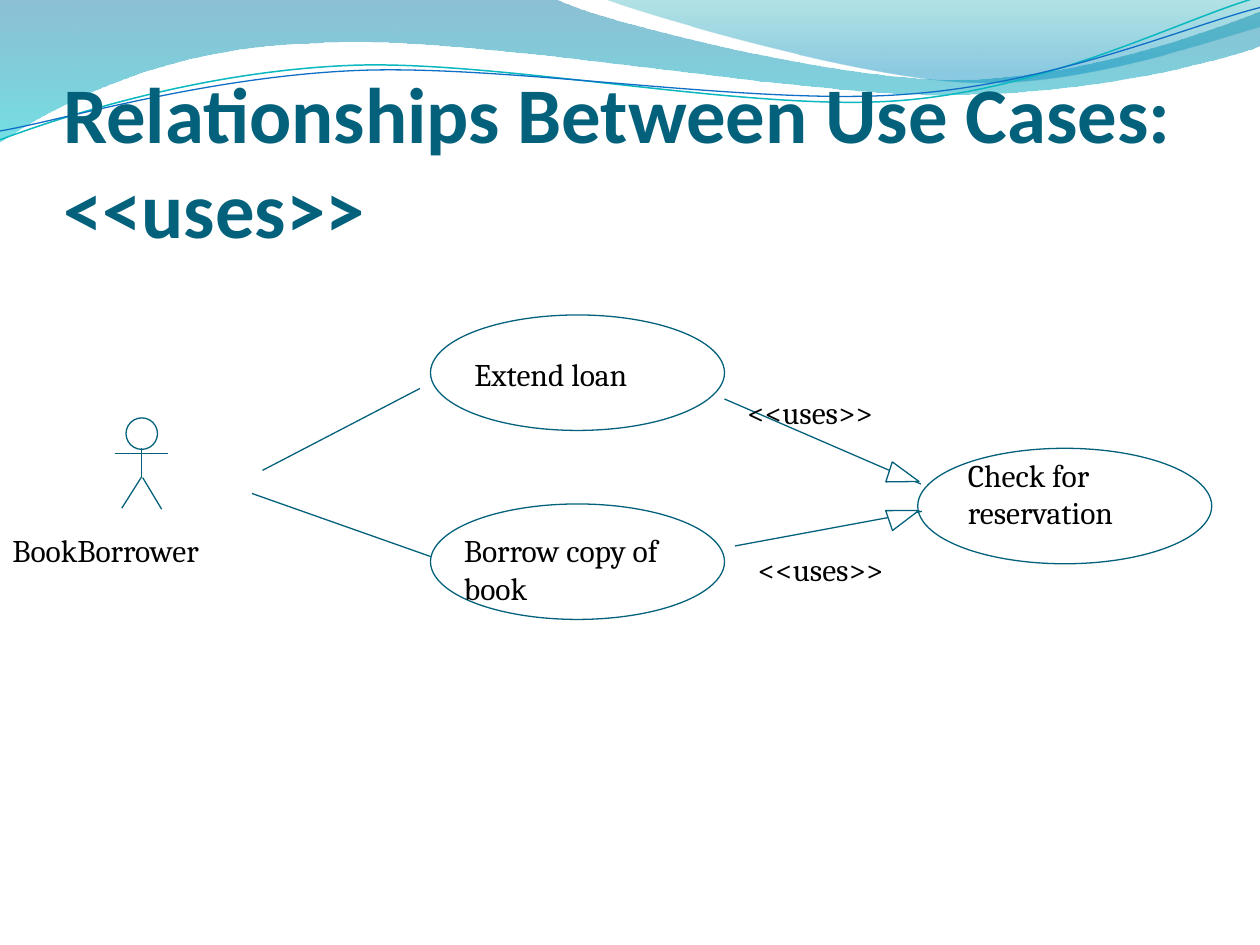
from lxml import etree
from pptx import Presentation
from pptx.dml.color import RGBColor
from pptx.enum.shapes import MSO_CONNECTOR as Connector, MSO_SHAPE as Shape
from pptx.enum.text import MSO_ANCHOR as Anchor, PP_ALIGN as Align
from pptx.oxml import parse_xml
from pptx.oxml.ns import nsdecls, qn
from pptx.util import Pt

PX = 7620  # 120 px to the inch
TEAL, WHITE, BLACK = "04617B", "FFFFFF", "000000"
color = RGBColor.from_string

deck = Presentation()
deck.slide_width, deck.slide_height = 1200 * PX, 900 * PX
page = deck.slides.add_slide(deck.slide_layouts[5])


def add_wave(shapes, start, segments, closed):
    """Draw straight segments (one point) and cubic curves (three points).

    Points are in hundredths of the slide width per ten, that is 1.2 px each.
    """
    builder = shapes.build_freeform(*start, scale=1.2 * PX)
    builder.add_line_segments([p for segment in segments for p in segment], close=closed)
    wave = builder.convert_to_shape()
    wave.shadow.inherit = False
    steps = iter(list(wave._element.iter(qn("a:lnTo"))))
    for segment in segments:
        step = next(steps)
        if len(segment) == 3:
            step.tag = qn("a:cubicBezTo")
            for extra in (next(steps), next(steps)):
                step.append(extra[0])
                extra.getparent().remove(extra)
    return wave


# Header bands: start, segments, gradient stops (position, colour, opacity)
bands = [
    ((0, 0), [[(440, -1)],
              [(476, 17), (664, 63), (758, 63)],
              [(853, 63), (958, 26), (1000, 9)],
              [(1001, 36)],
              [(983, 44), (870, 76), (746, 75)],
              [(622, 75), (382, 28), (257, 34)],
              [(129, 36), (46, 83), (-1, 113)]],
     [(0, "0074A1", 45), (100, "00C6CF", 55)]),
    ((479, -1), [[(509, 11), (682, 62), (769, 65)],
                 [(856, 69), (961, 32), (1000, 21)],
                 [(1000, 0)]],
     [(0, "00A1A9", 30), (80, "008BBF", 45)]),
]
for start, segments, stops in bands:
    band = add_wave(page.shapes, start, segments, True)
    band.line.fill.background()
    stop_xml = "".join(
        f'<a:gs pos="{pos * 1000}"><a:srgbClr val="{tone}">'
        f'<a:alpha val="{alpha * 1000}"/></a:srgbClr></a:gs>'
        for pos, tone, alpha in stops)
    gradient = parse_xml(f'<a:gradFill {nsdecls("a")} rotWithShape="1"><a:gsLst>{stop_xml}'
                         '</a:gsLst><a:lin ang="5400000" scaled="0"/></a:gradFill>')
    band._element.spPr.find(qn("a:custGeom")).addnext(gradient)

# Header strands
strands = [
    ((0, 111), [[(48, 93), (158, 57), (277, 52)],
                [(395, 47), (593, 89), (713, 80)],
                [(833, 71), (938, 15), (998, -2)]], "0AB8BF", 0.85),
    ((0, 104), [[(47, 96), (164, 61), (283, 56)],
                [(403, 51), (597, 84), (717, 75)],
                [(836, 67), (941, 21), (1000, 6)]], "0F6FC6", 0.75),
]
strand_group = page.shapes.add_group_shape()
for start, segments, tone, width in strands:
    strand = add_wave(strand_group.shapes, start, segments, False)
    strand.fill.background()
    strand.line.color.rgb = color(tone)
    strand.line.width = Pt(width)

# Title, in front of the header
title = page.shapes.title
strand_group._element.addnext(title._element)
title.left, title.top, title.width, title.height = [v * PX for v in (60, 92, 1080, 150)]
frame = title.text_frame
frame.text = "Relationships Between Use Cases: <<uses>>"
frame.word_wrap = True
frame.vertical_anchor = Anchor.BOTTOM
frame.margin_left = frame.margin_right = frame.margin_bottom = 0
frame.margin_top = 6 * PX
para = frame.paragraphs[0]
para.alignment = Align.LEFT
font = para.runs[0].font
font.name, font.size, font.bold = "Calibri", Pt(45), True
font.color.rgb = color(TEAL)

# Diagram from back to front: lines give two ends, the rest left, top, width, height
main = page.shapes
actor = main.add_group_shape().shapes
extend = main.add_group_shape().shapes
LINE, OVAL, HEAD = Connector.STRAIGHT, Shape.OVAL, Shape.ISOSCELES_TRIANGLE
parts = [
    (main, LINE, (240, 470, 410, 530), None),
    (actor, OVAL, (120, 398, 30, 30), None),
    (actor, LINE, (135, 427, 135, 454), None),
    (actor, LINE, (110, 432, 160, 432), None),
    (actor, LINE, (135, 454, 116, 484), None),
    (actor, LINE, (136, 455, 154, 485), None),
    (main, "BookBorrower", (0, 500, 280, 60), None),
    (main, OVAL, (874, 427, 280, 110), None),
    (main, "Check for reservation", (910, 428, 210, 108), None),
    (extend, OVAL, (410, 300, 280, 110), WHITE),
    (extend, "Extend loan", (440, 332, 200, 108), None),
    (main, LINE, (250, 448, 400, 370), None),
    (main, LINE, (690, 380, 877, 461), None),
    (main, HEAD, (851, 439, 20, 30, 107.8), WHITE),
    (main, LINE, (700, 520, 878, 487), None),
    (main, HEAD, (851, 476, 20, 30, 71.3), WHITE),
    (main, "<<uses>>", (710, 518, 200, 60), None),
    (main, "<<uses>>", (700, 368, 200, 60), None),
    (main, OVAL, (410, 480, 280, 110), WHITE),
    (main, "Borrow copy of book", (430, 500, 270, 108), None),
]
for shapes, kind, (*place, turn), fill in [
        (s, k, p if len(p) == 5 else (*p, 0), f) for s, k, p, f in parts]:
    place = [v * PX for v in place]
    if isinstance(kind, str):
        box = shapes.add_textbox(*place)
        box.text_frame.word_wrap = True
        box.text_frame.text = kind
        font = box.text_frame.paragraphs[0].runs[0].font
        font.name, font.size = "Cambria", Pt(18)
        font.color.rgb = color(BLACK)
        continue
    if kind == LINE:
        outline = shapes.add_connector(kind, *place)
        etree.SubElement(outline._element.spPr, qn("a:effectLst"))
    else:
        outline = shapes.add_shape(kind, *place)
        outline.shadow.inherit = False
        outline.rotation = turn
        if fill:
            outline.fill.solid()
            outline.fill.fore_color.rgb = color(fill)
        else:
            outline.fill.background()
    outline.line.color.rgb = color(TEAL)
    outline.line.width = Pt(0.75)

deck.save("out.pptx")
